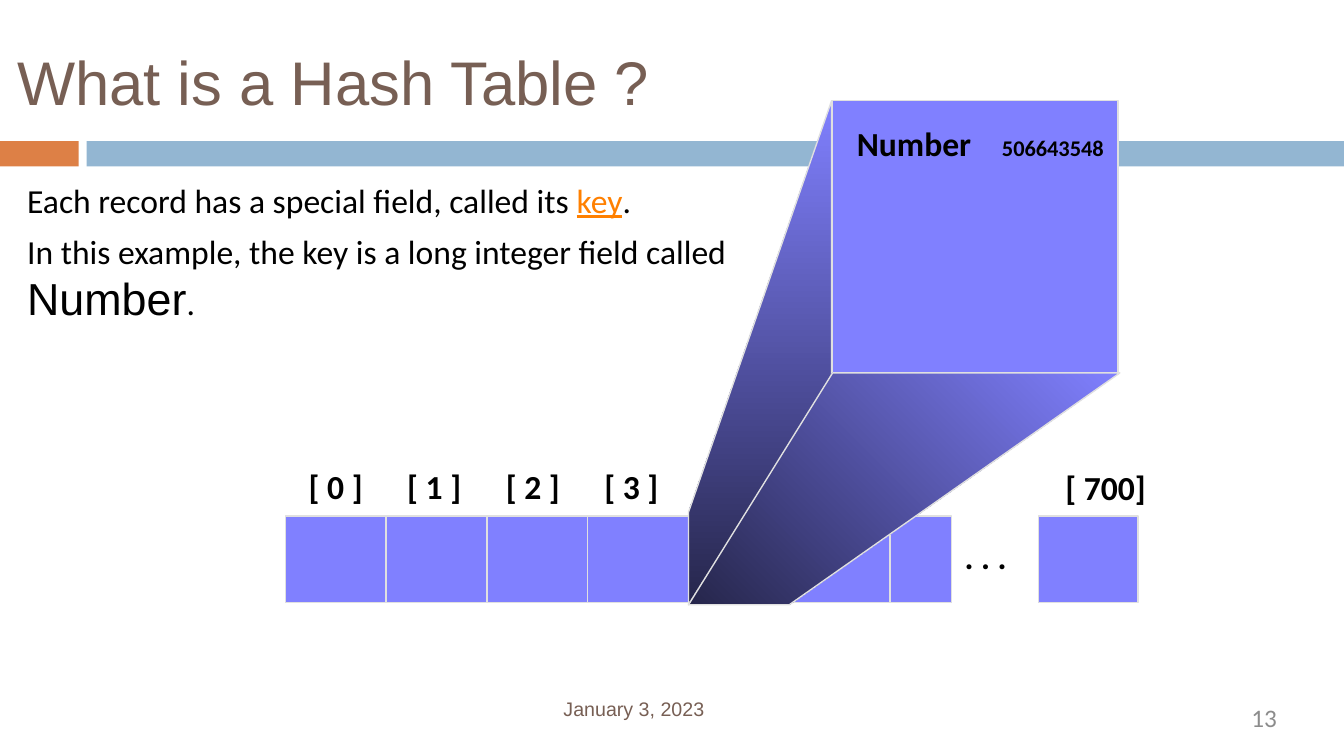
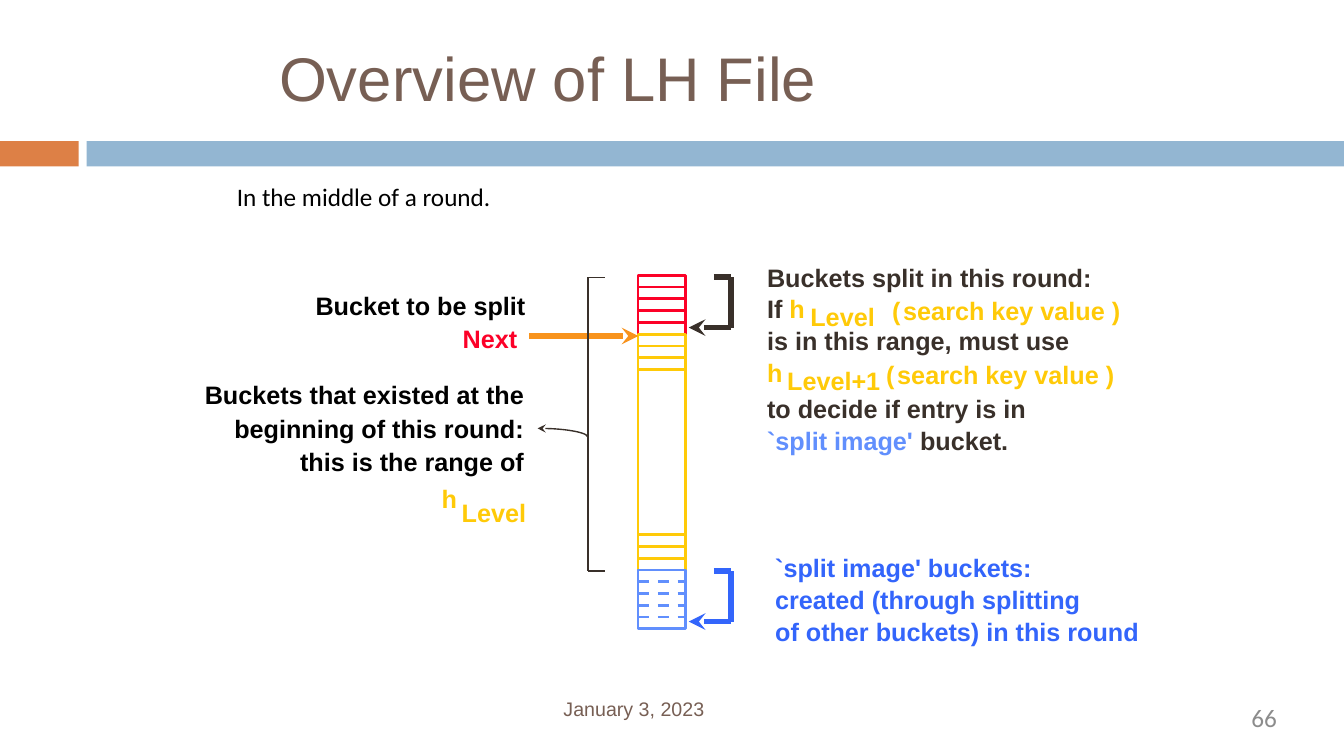
from lxml import etree
from pptx import Presentation
from pptx import util as u
from pptx.dml.color import RGBColor
from pptx.enum import dml, shapes, text
from pptx.oxml.ns import qn

Pt = u.Pt

# Shared look
BROWN, GRAY, BLACK = "775F54", "8C8C8C", "000000"
BANDS = [(0, 56.2, "DD8046"), (61.9, 898.1, "93B6D2")]
BAND_TOP, BAND_HEIGHT = 100.8, 18
DATE = "January 3, 2023"

# Hash table slide
VIOLET, NIGHT, EDGE, KEY_ORANGE = "8080FF", "26264B", "E0E0E0", "FF8000"
HASH_BODY = [
    ["Each record has a special field, called its ",
     ("key", {"color": KEY_ORANGE, "underline": True}), "."],
    ["In this example, the key is a long integer field called ",
     ("Number", {"size": 32, "font": "Arial"}), "."],
]
INDEX_LABELS = ["[ 0 ]", "[ 1 ]", "[ 2 ]", "[ 3 ]"]
CELL, CELL_HEIGHT, ARRAY_LEFT, ARRAY_TOP = 72, 62, 203.8, 368.6
ARRAY_WIDTH, DIVIDERS = 476, 6
LAST_CELL_LEFT = 741.6
RECORD = (594.7, 72, 203.8, 195.1)
# corner points, gradient angle (counter-clockwise)
RECORD_SIDES = [
    ([(491.8, 365.8), (594, 72), (594, 270), (491.8, 432)], 270),
    ([(491.8, 432), (594.7, 266.4), (799.9, 266.4), (563.8, 432)], 225),
]

# Linear hashing slide
GOLD, RED, SKY, BLUE = "FFCA08", "FC0128", "618FFD", "3365FB"
DARK, ORANGE = "39302A", "F8931D"
COLUMN_LEFT, COLUMN_TOP, COLUMN_WIDTH, SLOT = 455.8, 196.6, 33.8, 8.42
# colour, first slot, end slot, divider slots, dashed
BUCKET_RANGES = [
    (RED, 0, 5, [1, 2, 3, 4], False),
    (GOLD, 5, 25, [6, 7, 8, 22, 23, 24], False),
    (SKY, 25, 30, [26, 27, 28, 29], True),
]
RANGE_NOTE = [["Buckets that existed at the"], ["beginning of this round:"],
              ["this is the range of"]]
SPLIT_NOTE = [
    ["Buckets split in this round:"],
    ["If ", ("h", {"color": GOLD})],
    ["is in this range, must use"],
    [("h", {"color": GOLD})],
    ["to decide if entry is in"],
    [("`split image' ", {"color": SKY}), "bucket."],
]
IMAGE_NOTE = [["`split image' buckets:"], ["created (through splitting"],
              ["of other buckets) in this round"]]
# text, left, top, colour
LABELS = [
    ("Bucket to be split", 225.4, 207.4, BLACK),
    ("Next", 330.5, 231.1, RED),
    ("h", 315.4, 344.9, GOLD),
    ("Level", 329.8, 355, GOLD),
    ("Level", 578.9, 215.3, GOLD),
    ("Level+1", 562.3, 260.6, GOLD),
]
ARGUMENT_STARTS = [(637.2, 211), (632.9, 256.3)]
ARGUMENT_PARTS = [("(", 0), ("search key value", 8), (")", 157)]
# top of the elbow arrow, colour
ELBOWS = [(198, DARK), (408, BLUE)]


def rgb(value):
    return RGBColor.from_string(value)


def style_run(run, size, color, font, bold=False, underline=None):
    run.font.size, run.font.name = Pt(size), font
    run.font.bold, run.font.underline = bold, underline
    run.font.color.rgb = rgb(color)


def clear_margins(frame):
    frame.margin_left = frame.margin_right = 0
    frame.margin_top = frame.margin_bottom = 0
    frame.vertical_anchor = text.MSO_ANCHOR.TOP
    frame.word_wrap = True


def add_text(slide, x, y, width, height, paragraphs, size=18, color=BLACK,
             font="Calibri", bold=False, align=text.PP_ALIGN.LEFT,
             spacing=None, tab=None):
    """Runs are strings, or pairs of a string and its differing style."""
    frame = slide.shapes.add_textbox(Pt(x), Pt(y), Pt(width), Pt(height)).text_frame
    clear_margins(frame)
    for index, runs in enumerate(paragraphs):
        paragraph = frame.add_paragraph() if index else frame.paragraphs[0]
        paragraph.alignment = align
        if spacing:
            paragraph.line_spacing = spacing
        if tab:
            tabs = etree.SubElement(paragraph._p.get_or_add_pPr(), qn("a:tabLst"))
            etree.SubElement(tabs, qn("a:tab"), pos=str(Pt(tab)), algn="l")
        for item in runs:
            content, changes = (item, {}) if isinstance(item, str) else item
            run = paragraph.add_run()
            run.text = content
            base = {"size": size, "color": color, "font": font, "bold": bold}
            style_run(run, **{**base, **changes})
    return frame


def paint(shape, fill=None, line=None, width=1):
    shape.shadow.inherit = False
    if fill:
        shape.fill.solid()
        shape.fill.fore_color.rgb = rgb(fill)
    else:
        shape.fill.background()
    if line:
        shape.line.color.rgb = rgb(line)
        shape.line.width = Pt(width)
    else:
        shape.line.fill.background()


def add_preset(slide, kind, x, y, width, height, **look):
    shape = slide.shapes.add_shape(kind, Pt(x), Pt(y), Pt(width), Pt(height))
    paint(shape, look.get("fill"), look.get("line"), look.get("line_width", 1))
    return shape


def add_box(slide, x, y, width, height, **look):
    return add_preset(slide, shapes.MSO_SHAPE.RECTANGLE, x, y, width, height, **look)


def add_arrowhead(shape, end):
    etree.SubElement(shape.line._get_or_add_ln(), qn("a:" + end), type="stealth")


def add_path(slide, points, color, width=1, arrow=False, dashed=False):
    """Join the points by straight lines; an arrow sits at the last point."""
    for start, end in zip(points, points[1:]):
        line = slide.shapes.add_connector(
            shapes.MSO_CONNECTOR.STRAIGHT, *(Pt(value) for value in (*start, *end)))
        etree.SubElement(line._element.spPr, qn("a:effectLst"))
        line.line.color.rgb = rgb(color)
        line.line.width = Pt(width)
        if dashed:
            line.line.dash_style = dml.MSO_LINE.DASH
    if arrow:
        add_arrowhead(line, "tailEnd")


def start_slide(presentation, title, title_left, title_top, number):
    slide = presentation.slides.add_slide(presentation.slide_layouts[5])
    for left, width, color in BANDS:
        add_box(slide, left, BAND_TOP, width, BAND_HEIGHT, fill=color)
    holder = slide.shapes.title
    holder.left, holder.top = Pt(title_left), Pt(title_top)
    holder.width, holder.height = Pt(700), Pt(54)
    frame = holder.text_frame
    frame.text = title
    frame.auto_size = text.MSO_AUTO_SIZE.NONE
    clear_margins(frame)
    frame.paragraphs[0].alignment = text.PP_ALIGN.LEFT
    style_run(frame.paragraphs[0].runs[0], 44, BROWN, "Arial")
    add_text(slide, 402.5, 498, 223, 16, [[DATE]], 14, BROWN, "Arial")
    add_text(slide, 691.2, 502, 221, 22, [[number]], 18, GRAY,
             align=text.PP_ALIGN.RIGHT)
    return slide


def build_hash_table(presentation):
    slide = start_slide(presentation, "What is a Hash Table ?", 12.2, 31.5, "13")
    body = add_text(slide, 19.4, 130.3, 504, 110, HASH_BODY, 24)
    body.paragraphs[0].line_spacing = 0.95
    body.paragraphs[1].space_before = Pt(7)

    # Array cells and their indices
    cells = {"fill": VIOLET, "line": EDGE}
    add_box(slide, ARRAY_LEFT, ARRAY_TOP, ARRAY_WIDTH, CELL_HEIGHT, **cells)
    for index in range(1, DIVIDERS + 1):
        x = ARRAY_LEFT + index * CELL
        add_path(slide, [(x, ARRAY_TOP), (x, ARRAY_TOP + CELL_HEIGHT)], EDGE)
    add_box(slide, LAST_CELL_LEFT, ARRAY_TOP, 71.3, CELL_HEIGHT, **cells)
    label = {"size": 24, "bold": True, "spacing": 0.93}
    for index, caption in enumerate(INDEX_LABELS):
        add_text(slide, ARRAY_LEFT + index * 70.4, 335.5, CELL, 28, [[caption]],
                 align=text.PP_ALIGN.CENTER, **label)
    add_text(slide, 689, 385.2, 50, 28, [[". . ."]], **label)
    add_text(slide, 761, 336.2, 80, 28, [["[ 700]"]], **label)

    # Enlarged record
    add_box(slide, *RECORD, **cells)
    for points, angle in RECORD_SIDES:
        corners = [(Pt(x), Pt(y)) for x, y in points]
        builder = slide.shapes.build_freeform(*corners[0])
        builder.add_line_segments(corners[1:], close=True)
        side = builder.convert_to_shape()
        paint(side, line=EDGE)
        side.fill.gradient()
        side.fill.gradient_angle = angle
        for stop, color in zip(side.fill.gradient_stops, (VIOLET, NIGHT)):
            stop.color.rgb = rgb(color)
    add_text(slide, 612, 90.7, 190, 28,
             [["Number\t", ("506643548", {"size": 16})]], tab=103.7, **label)


def build_linear_hashing(presentation):
    slide = start_slide(presentation, "Overview of LH File", 199.4, 28.5, "66")
    add_text(slide, 169.2, 129.6, 640, 24, [["In the middle of a round."]])

    # Notes
    note = {"font": "Arial", "bold": True}
    add_text(slide, 134.3, 269, 240, 72, RANGE_NOTE, spacing=Pt(23.8),
             align=text.PP_ALIGN.RIGHT, **note)
    split = add_text(slide, 547.9, 185.8, 300, 140, SPLIT_NOTE, color=DARK,
                     spacing=Pt(22.8), **note)
    split.paragraphs[4].space_before = Pt(2.5)
    add_text(slide, 553.7, 393, 300, 70, IMAGE_NOTE, color=BLUE,
             spacing=Pt(23), **note)
    arguments = [(part, x + offset, y, GOLD) for x, y in ARGUMENT_STARTS
                 for part, offset in ARGUMENT_PARTS]
    for caption, x, y, color in LABELS + arguments:
        add_text(slide, x, y, 12 + 11 * len(caption), 21, [[caption]],
                 color=color, **note)

    # Column of buckets
    right = COLUMN_LEFT + COLUMN_WIDTH
    for color, first, end, dividers, dashed in BUCKET_RANGES:
        add_box(slide, COLUMN_LEFT, COLUMN_TOP + first * SLOT, COLUMN_WIDTH,
                (end - first) * SLOT, line=color, line_width=2)
        for slot in dividers:
            y = COLUMN_TOP + slot * SLOT
            add_path(slide, [(COLUMN_LEFT, y), (right, y)], color, 2, dashed=dashed)

    # Arrows and bracket
    for top, color in ELBOWS:
        add_path(slide, [(510, top), (522, top), (522, top + 36), (492, top + 36)],
                 color, 4, arrow=True)
    add_path(slide, [(378, 240), (456, 240)], ORANGE, 4, arrow=True)
    add_path(slide, [(432, 198), (420, 198), (420, 408), (432, 408)], DARK)
    arc = add_preset(slide, shapes.MSO_SHAPE.ARC, 348, 306, 72, 12.8, line=DARK)
    add_arrowhead(arc, "headEnd")


def main():
    presentation = Presentation()
    presentation.slide_width, presentation.slide_height = Pt(960), Pt(540)
    build_hash_table(presentation)
    build_linear_hashing(presentation)
    presentation.save("out.pptx")


if __name__ == "__main__":
    main()
